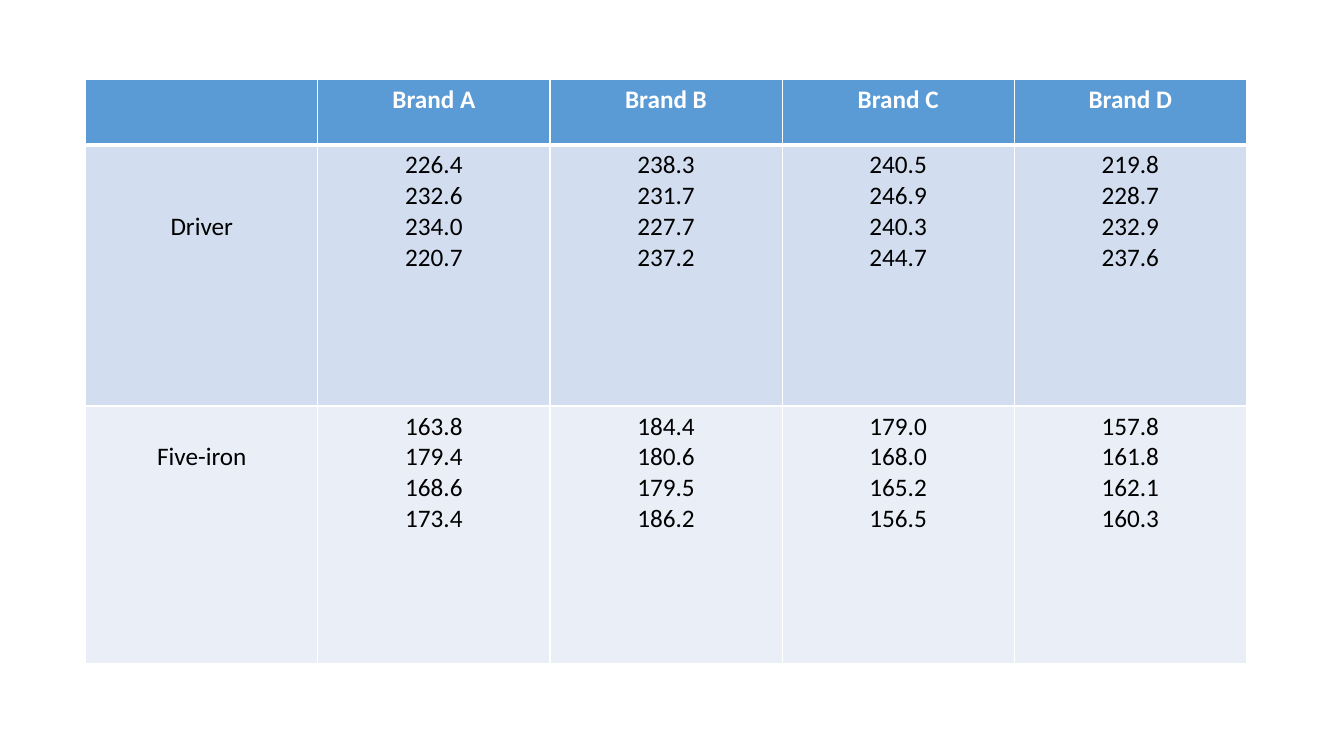
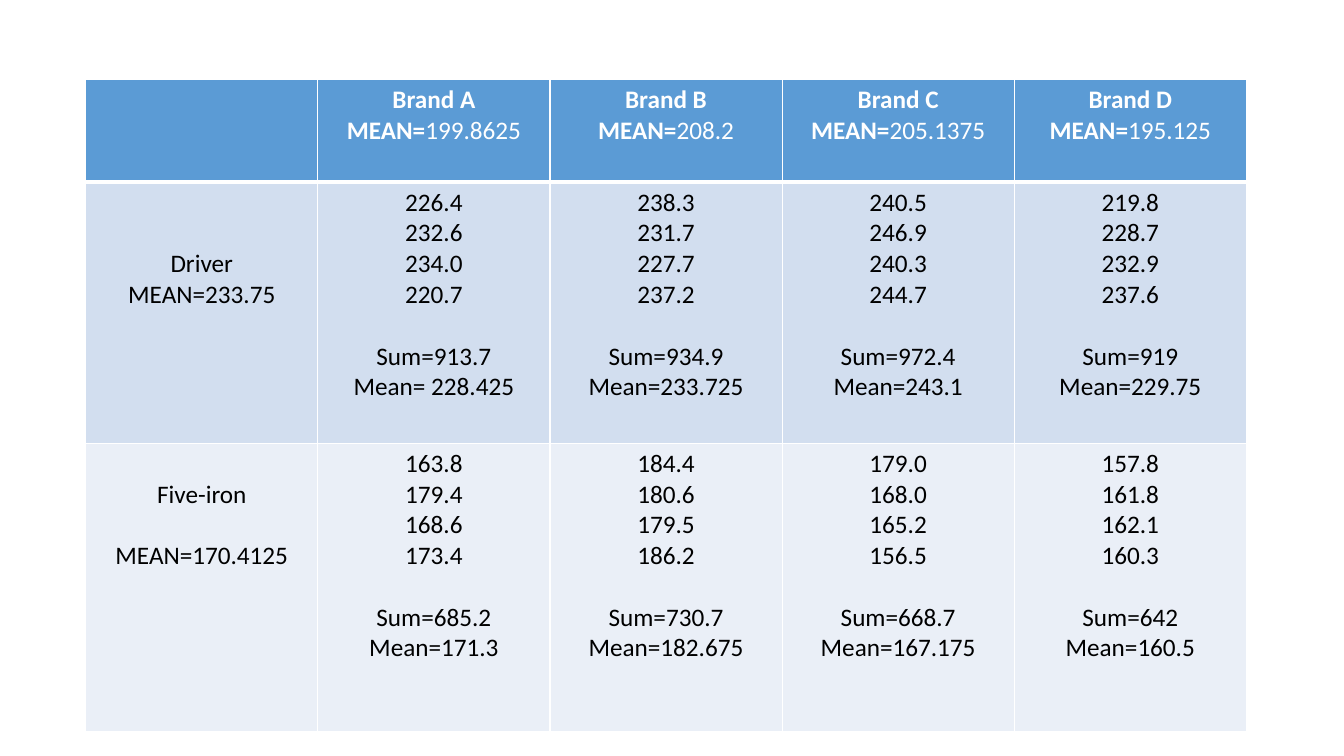
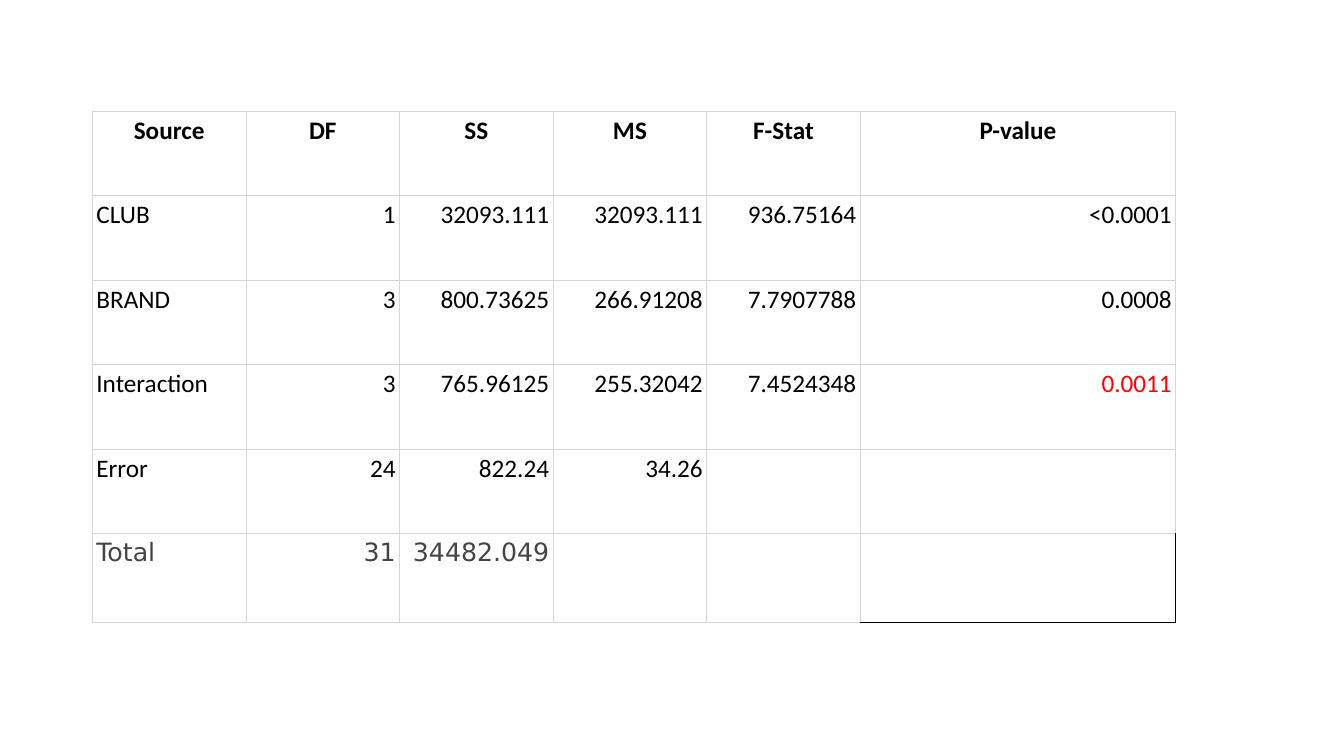
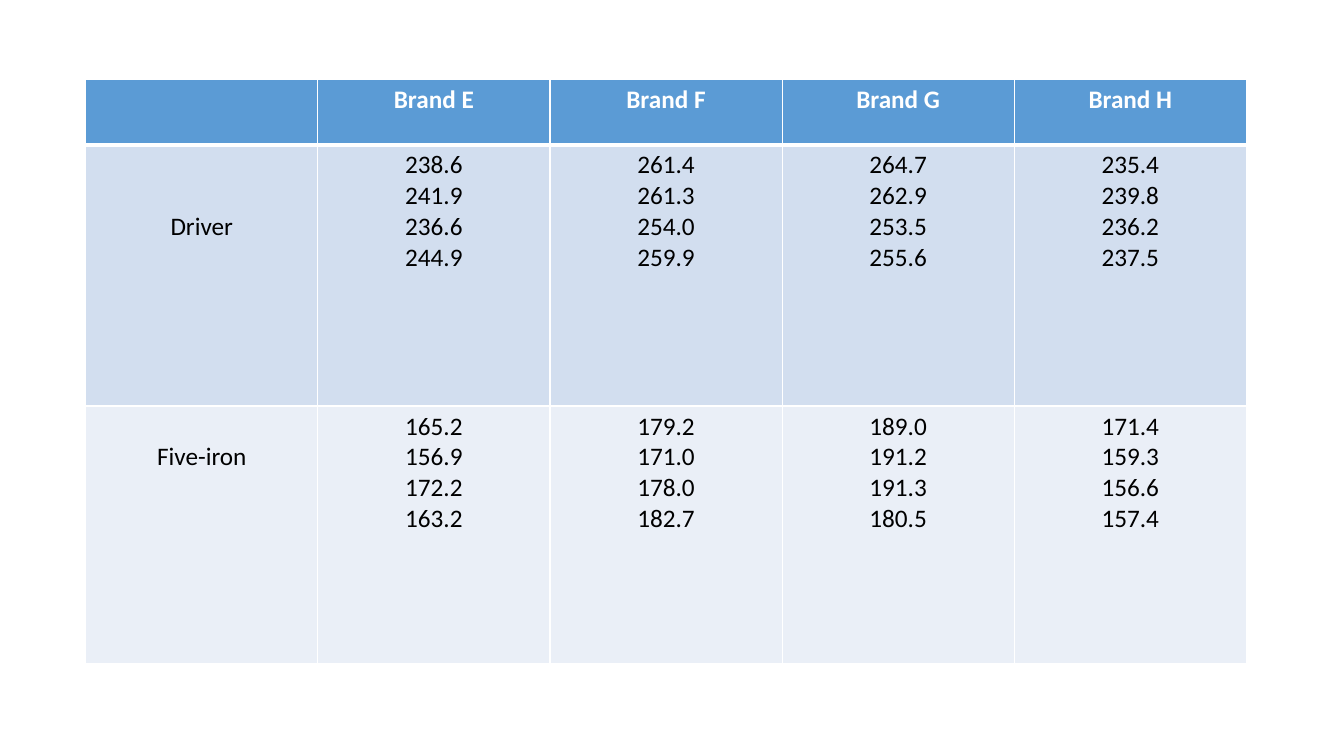
"""Build four slides of tables on golf club distances by brand."""
from dataclasses import dataclass, field
from typing import Optional, Sequence

from lxml.etree import SubElement as Sub
from pptx import Presentation
from pptx.dml.color import RGBColor as Rgb
from pptx.enum.text import PP_ALIGN as Align
from pptx.oxml.ns import qn
from pptx.slide import Slide
from pptx.table import Table, _Cell as Cell
from pptx.util import Cm, Pt


@dataclass(frozen=True)
class Theme:
    head: str = "5B9BD5"
    bands: tuple[str, str] = ("D2DEEF", "EAEFF7")
    white: str = "FFFFFF"
    black: str = "000000"
    grid: str = "D6D6D6"
    red: str = "FF0000"
    gray: str = "444444"
    font: str = "Calibri"
    alt: str = "DejaVu Sans"
    size: int = 18
    step: int = 22
    pad: float = 0.13
    thin: float = 0.1


T = Theme()


@dataclass(frozen=True)
class Run:
    text: str
    color: str = T.black
    bold: bool = False
    font: str = T.font


@dataclass(frozen=True)
class Line:
    runs: Sequence[Run]
    align: Align = Align.CENTER
    skip: int = 0


@dataclass(frozen=True)
class Edge:
    color: str
    width: float


@dataclass(frozen=True)
class Box:
    lines: Sequence[Line]
    fill: str
    edges: dict[str, Edge]
    skip: int = 0
    pad: Optional[float] = None


@dataclass(frozen=True)
class Shots:
    vals: Sequence[float]
    lead: str = "Mean="


@dataclass(frozen=True)
class Brand:
    name: str
    clubs: tuple[Shots, Shots]


@dataclass(frozen=True)
class Club:
    name: str
    skip: int
    gap: int


@dataclass(frozen=True)
class Frame:
    left: float
    top: float
    cols: Sequence[float]
    rows: Sequence[float]


@dataclass(frozen=True)
class Source:
    name: str
    vals: Sequence[str]
    tints: dict[int, str] = field(default_factory=dict)
    color: str = T.black
    font: str = T.font


CLUBS = (Club("Driver", 2, 0), Club("Five-iron", 1, 1))
FIRST = (
    Brand("Brand A", (Shots((226.4, 232.6, 234.0, 220.7), "Mean= "),
                      Shots((163.8, 179.4, 168.6, 173.4)))),
    Brand("Brand B", (Shots((238.3, 231.7, 227.7, 237.2)),
                      Shots((184.4, 180.6, 179.5, 186.2)))),
    Brand("Brand C", (Shots((240.5, 246.9, 240.3, 244.7)),
                      Shots((179.0, 168.0, 165.2, 156.5)))),
    Brand("Brand D", (Shots((219.8, 228.7, 232.9, 237.6)),
                      Shots((157.8, 161.8, 162.1, 160.3)))),
)
SECOND = (
    Brand("Brand E", (Shots((238.6, 241.9, 236.6, 244.9)),
                      Shots((165.2, 156.9, 172.2, 163.2)))),
    Brand("Brand F", (Shots((261.4, 261.3, 254.0, 259.9)),
                      Shots((179.2, 171.0, 178.0, 182.7)))),
    Brand("Brand G", (Shots((264.7, 262.9, 253.5, 255.6)),
                      Shots((189.0, 191.2, 191.3, 180.5)))),
    Brand("Brand H", (Shots((235.4, 239.8, 236.2, 237.5)),
                      Shots((171.4, 159.3, 156.6, 157.4)))),
)
HEADS = ("Source", "DF", "SS", "MS", "F-Stat", "P-value")
ANOVA = (
    Source("CLUB", ("1", "32093.111", "32093.111", "936.75164", "<0.0001")),
    Source("BRAND", ("3", "800.73625", "266.91208", "7.7907788", "0.0008")),
    Source("Interaction", ("3", "765.96125", "255.32042", "7.4524348", "0.0011"),
           {4: T.red}),
    Source("Error", ("24", "822.24", "34.26", "", "")),
    Source("Total", ("31", "34482.049", "", "", ""), color=T.gray, font=T.alt),
)
PLAIN = Frame(2.16, 2.01, (5.85,) * 5, (1.64, 6.58, 6.48))
FULL = Frame(2.16, 2.01, (5.85,) * 5, (2.58, 6.58, 7.26))
STATS = Frame(2.33, 2.8, (3.87,) * 5 + (7.95,), (2.13,) * 5 + (2.24,))


def num(val: float) -> str:
    """Format a result without trailing zeros."""
    return f"{round(val, 4):.8g}"


def mean(vals: Sequence[float]) -> str:
    """Return the mean of the values as text."""
    return num(sum(vals) / len(vals))


def edge(cell: Cell, side: str, line: Edge) -> None:
    """Draw one border of a cell."""
    ln = Sub(cell._tc.get_or_add_tcPr(), qn(f"a:ln{side}"), w=str(Pt(line.width)))
    Sub(Sub(ln, qn("a:solidFill")), qn("a:srgbClr"), val=line.color)


def write(cell: Cell, lines: Sequence[Line]) -> None:
    """Write lines into a cell run by run."""
    frame = cell.text_frame
    for i, line in enumerate(lines):
        para = frame.add_paragraph() if i else frame.paragraphs[0]
        para.alignment = line.align
        if line.skip:
            para.space_before = Pt(line.skip * T.step)
        for part in line.runs:
            run = para.add_run()
            run.text = part.text
            font = run.font
            font.name, font.size, font.bold = part.font, Pt(T.size), part.bold
            font.color.rgb = Rgb.from_string(part.color)


def paint(cell: Cell, box: Box) -> None:
    """Apply borders, fill, margins and text to a cell."""
    for side in "LRTB":
        edge(cell, side, box.edges[side])
    cell.fill.solid()
    cell.fill.fore_color.rgb = Rgb.from_string(box.fill)
    if box.pad is not None:
        cell.margin_left = cell.margin_right = Cm(box.pad)
        cell.margin_top = cell.margin_bottom = Cm(box.pad)
    if box.skip:
        cell.margin_top = Cm(T.pad) + Pt(box.skip * T.step)
    write(cell, box.lines)


def grid(slide: Slide, frame: Frame, boxes: Sequence[Sequence[Box]]) -> Table:
    """Add a table and paint all its cells."""
    shape = slide.shapes.add_table(
        len(frame.rows), len(frame.cols), Cm(frame.left), Cm(frame.top),
        Cm(sum(frame.cols)), Cm(sum(frame.rows)))
    table = shape.table
    for col, wide in zip(table.columns, frame.cols):
        col.width = Cm(wide)
    for row, high, line in zip(table.rows, frame.rows, boxes):
        row.height = Cm(high)
        for cell, box in zip(row.cells, line):
            paint(cell, box)
    return table


def shots(slide: Slide, frame: Frame, brands: Sequence[Brand], full: bool) -> None:
    """Show the distances by club and brand, with sums and means if full."""
    thin, thick = Edge(T.white, 1), Edge(T.white, 3)
    sides = dict.fromkeys("LRTB", thin)
    under = {**sides, "B": thick}
    head = [Box((), T.head, under)]
    for brand in brands:
        lines = [Line([Run(brand.name, T.white, True)])]
        if full:
            vals = [val for club in brand.clubs for val in club.vals]
            lines.append(Line([Run("MEAN=", T.white, True), Run(mean(vals), T.white)]))
        head.append(Box(lines, T.head, under))
    rows = [head]
    for i, (club, fill) in enumerate(zip(CLUBS, T.bands)):
        edges = sides if i else {**sides, "T": thick}
        name = [Line([Run(club.name)])]
        if full:
            vals = [val for brand in brands for val in brand.clubs[i].vals]
            name.append(Line([Run(f"MEAN={mean(vals)}")], skip=club.gap))
        row = [Box(name, fill, edges, club.skip)]
        for brand in brands:
            item = brand.clubs[i]
            lines = [Line([Run(f"{val:.1f}")]) for val in item.vals]
            if full:
                lines += [Line([Run(f"Sum={num(sum(item.vals))}")], skip=1),
                          Line([Run(item.lead + mean(item.vals))])]
            row.append(Box(lines, fill, edges))
        rows.append(row)
    grid(slide, frame, rows)


def stats(slide: Slide) -> None:
    """Show the analysis of variance."""
    sides = dict.fromkeys("LRTB", Edge(T.grid, 0.75))
    dark = Edge(T.black, 1)
    last = {**sides, "R": dark, "B": dark}
    rows = [[Box([Line([Run(head, bold=True)])], T.white, sides, pad=T.thin)
             for head in HEADS]]
    for item in ANOVA:
        row = [Box([Line([Run(item.name, item.color, font=item.font)], Align.LEFT)],
                   T.white, sides, pad=T.thin)]
        for i, val in enumerate(item.vals):
            run = Run(val, item.tints.get(i, item.color), font=item.font)
            lines = [Line([run], Align.RIGHT)] if val else []
            end = item is ANOVA[-1] and i == len(item.vals) - 1
            row.append(Box(lines, T.white, last if end else sides, pad=T.thin))
        rows.append(row)
    table = grid(slide, STATS, rows)
    table.first_row = table.horz_banding = False


def main() -> None:
    """Build and save the slides."""
    deck = Presentation()
    deck.slide_width, deck.slide_height = Cm(33.87), Cm(19.05)
    blank = deck.slide_layouts[6]
    one, two, three, four = (deck.slides.add_slide(blank) for _ in range(4))
    shots(one, PLAIN, FIRST, False)
    shots(two, FULL, FIRST, True)
    stats(three)
    shots(four, PLAIN, SECOND, False)
    deck.save("out.pptx")


if __name__ == "__main__":
    main()
